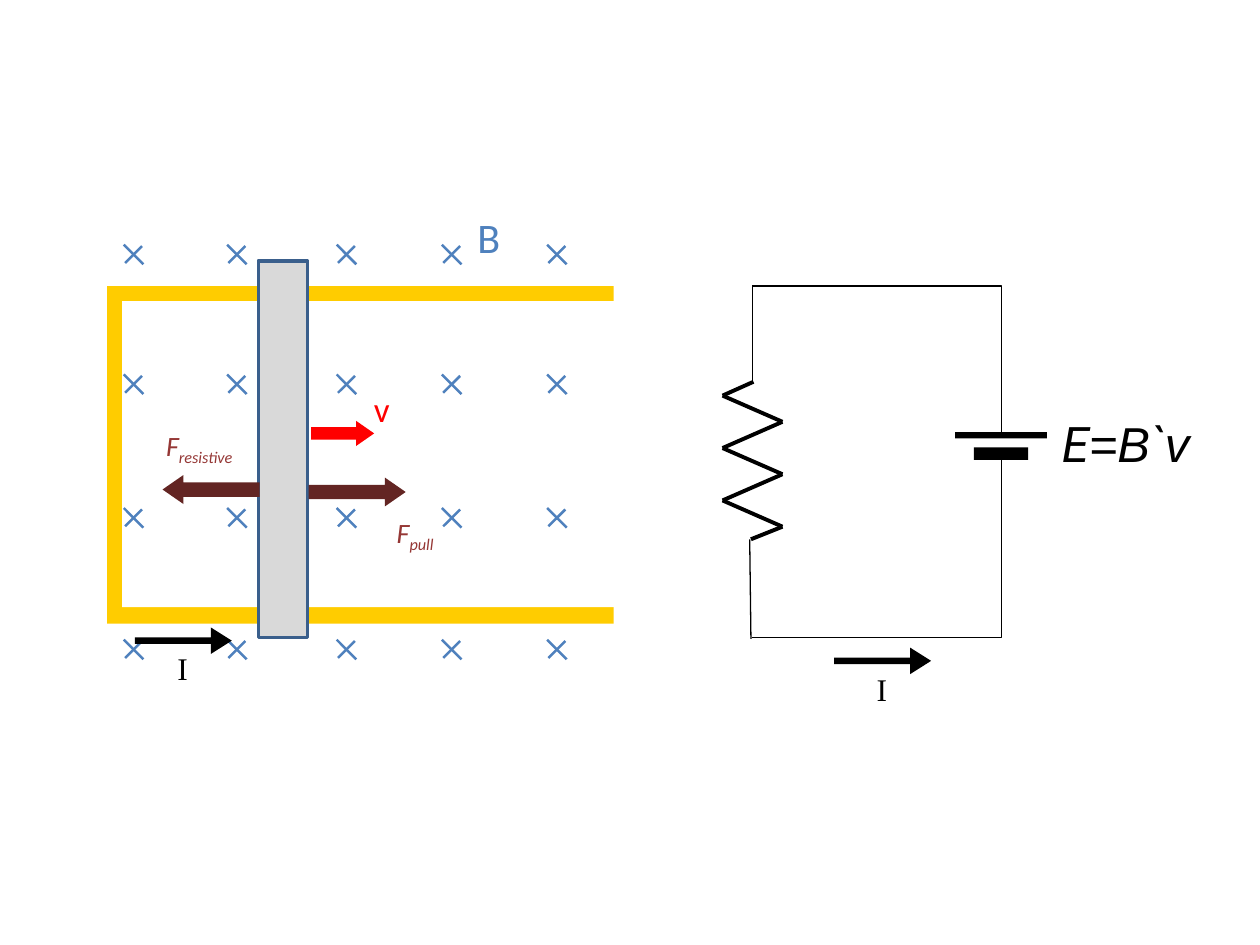
from dataclasses import dataclass
from itertools import pairwise, product

from lxml.etree import SubElement
from pptx import Presentation
from pptx.dml.color import RGBColor as RGB
from pptx.enum.shapes import MSO_CONNECTOR as LINK, MSO_SHAPE as FORM
from pptx.enum.text import MSO_AUTO_SIZE as FIT
from pptx.oxml.ns import qn
from pptx.util import Inches, Pt


@dataclass(frozen=True)
class Theme:
    black: str = "000000"
    white: str = "FFFFFF"
    rail: str = "FFCC00"
    field: str = "4F81BD"
    rod: str = "D9D9D9"
    edge: str = "3A5F8C"
    speed: str = "FF0000"
    force: str = "632523"
    label: str = "953735"
    sans: str = "Calibri"
    serif: str = "Times New Roman"
    math: str = "Roboto"
    plain: str = "Arial"
    small: int = 16
    text: int = 18
    mid: int = 20
    large: int = 24
    huge: int = 28
    thin: float = 0.75
    bold: float = 2.25


T = Theme()


def cell(n):
    """Length of n grid cells; the slide is 100 columns by 75 rows."""
    return Inches(n / 10)


def block(page, box, fill, form=FORM.RECTANGLE, turn=0, edge=None):
    item = page.shapes.add_shape(form, *map(cell, box))
    item.shadow.inherit = False
    item.rotation = turn
    item.fill.solid()
    item.fill.fore_color.rgb = RGB.from_string(fill)
    if edge:
        item.line.color.rgb = RGB.from_string(edge)
        item.line.width = Pt(2)
    else:
        item.line.fill.background()
    return item


def arrow(page, box, fill, shaft=0.5, head=0.72, turn=0):
    item = block(page, box, fill, FORM.RIGHT_ARROW, turn)
    item.adjustments[0] = shaft
    item.adjustments[1] = head


def wire(page, start, end, width=T.thin, bent=False):
    kind = LINK.ELBOW if bent else LINK.STRAIGHT
    item = page.shapes.add_connector(kind, *map(cell, start + end))
    item.line.color.rgb = RGB.from_string(T.black)
    item.line.width = Pt(width)
    props = item._element.spPr
    if bent:
        props.find(qn("a:prstGeom")).set("prst", "bentConnector2")
    SubElement(props, qn("a:effectLst"))


def label(page, box, runs, size, color, italic=False, wrap=False):
    """Each run is (text, font, baseline in percent)."""
    frame = page.shapes.add_textbox(*map(cell, box)).text_frame
    frame.word_wrap = wrap
    frame.auto_size = FIT.SHAPE_TO_FIT_TEXT
    for text, face, base in runs:
        run = frame.paragraphs[0].add_run()
        run.text = text
        font = run.font
        font.name, font.size, font.italic = face, Pt(size), italic
        font.color.rgb = RGB.from_string(color)
        if base:
            font._element.set("baseline", str(base * 1000))


def cross(page, x, y):
    for size, turn in ((2.2, 45), (1.9, 315)):
        block(page, (x - size / 2, y - 0.1, size, 0.2), T.field, turn=turn)


def force(page, box, name, spot, turn=0):
    arrow(page, box, T.force, turn=turn)
    runs = [("F", T.sans, 0), (name, T.sans, -25)]
    label(page, spot, runs, T.small, T.label, italic=True)


def current(page, x, y):
    arrow(page, (x, y, 7.7, 2.1), T.black, 0.25, 0.79)
    label(page, (x + 2.4, y + 1.25, 2.9, 4), [("I", T.serif, 0)], T.text, T.black)


def rails(page):
    # U-shaped rail in the field
    block(page, (8.5, 22.7, 40.2, 26.8), T.rail)
    block(page, (9.7, 23.9, 39.1, 24.3), T.white)
    for x, y in product((10.6, 18.8, 27.5, 35.85, 44.2), (20.2, 30.5, 41.1, 51.55)):
        cross(page, x, y)
    # Sliding rod, its speed and the field name
    block(page, (20.5, 20.7, 3.9, 29.9), T.rod, edge=T.edge)
    arrow(page, (24.7, 33.4, 5, 2), T.speed)
    label(page, (28.7, 30.3, 3.3, 4.4), [("v", T.sans, 0)], T.mid, T.speed)
    label(page, (36.9, 16.3, 3.8, 5), [("B", T.sans, 0)], T.large, T.field)
    # Forces on the rod
    force(page, (12.9, 37.7, 7.7, 2.3), "resistive", (12.2, 33.5, 8, 3.7), turn=180)
    force(page, (24.5, 37.9, 7.7, 2.3), "pull", (30.5, 40.4, 5.3, 3.7))
    current(page, 10.7, 49.8)


def loop(page):
    # Battery
    block(page, (75.8, 34.3, 7.3, 0.5), T.black)
    block(page, (77.3, 35.5, 4.3, 1), T.black)
    # Resistor: six equal swings between two leads
    swing = [(62.1 if i % 2 else 57.35, 31.4 + 2.08 * i) for i in range(6)]
    for start, end in pairwise([(59.8, 30.3), *swing, (59.6, 42.8)]):
        wire(page, start, end, T.bold)
    # Wires
    wire(page, (59.7, 22.7), (79.5, 34.3), bent=True)
    wire(page, (59.7, 30.4), (59.7, 22.6))
    wire(page, (59.7, 50.6), (79.5, 36.5), bent=True)
    wire(page, (59.5, 42.8), (59.6, 50.7))
    current(page, 66.2, 51.4)
    # Voltage
    runs = [("E", T.math, 0), ("=B", T.plain, 0), ("`", T.math, 0), ("v", T.plain, 0)]
    label(page, (83.3, 32.3, 16.3, 5.7), runs, T.huge, T.black, italic=True, wrap=True)


def main():
    deck = Presentation()
    deck.slide_width, deck.slide_height = cell(100), cell(75)
    page = deck.slides.add_slide(deck.slide_layouts[6])
    rails(page)
    loop(page)
    deck.save("out.pptx")


main()
